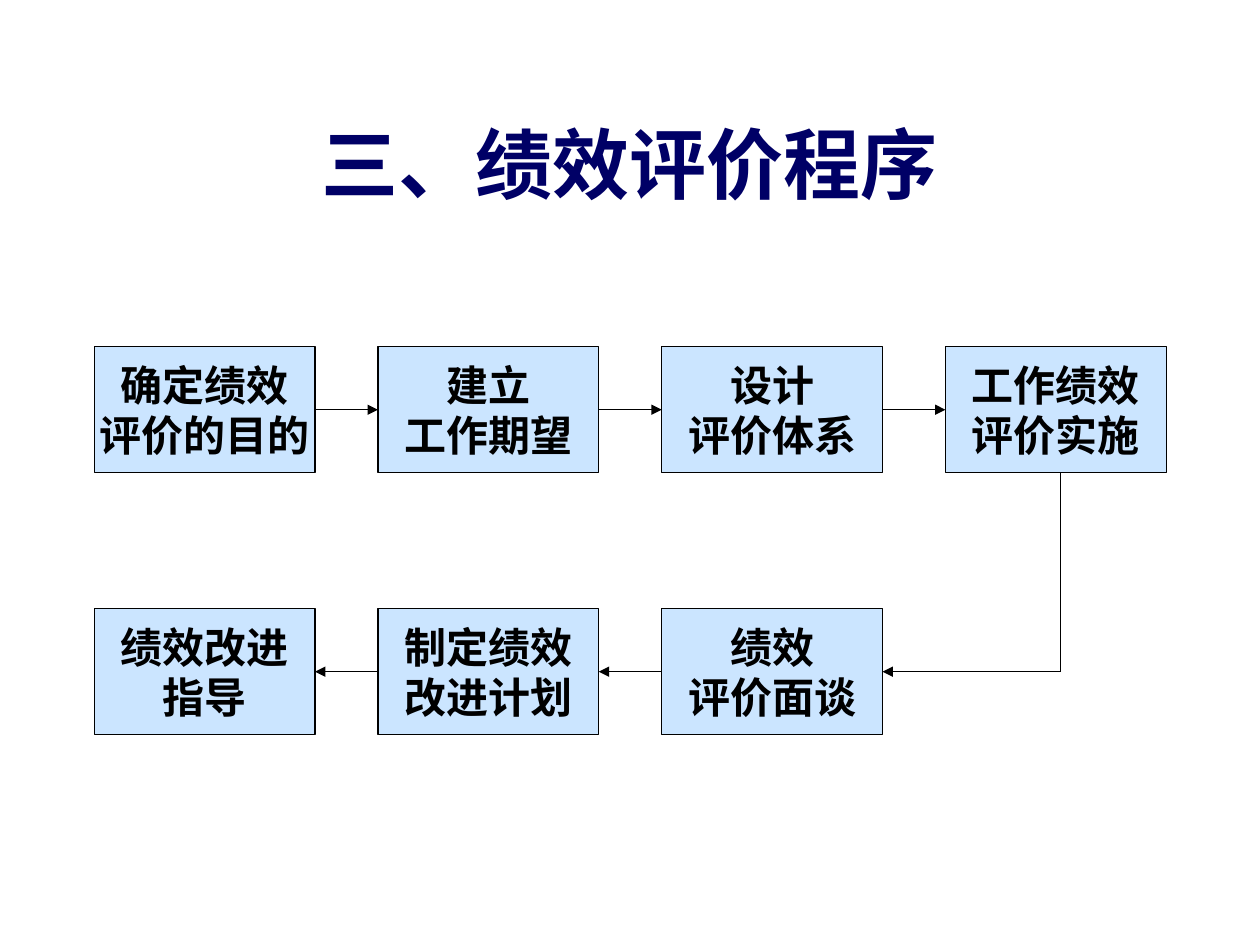
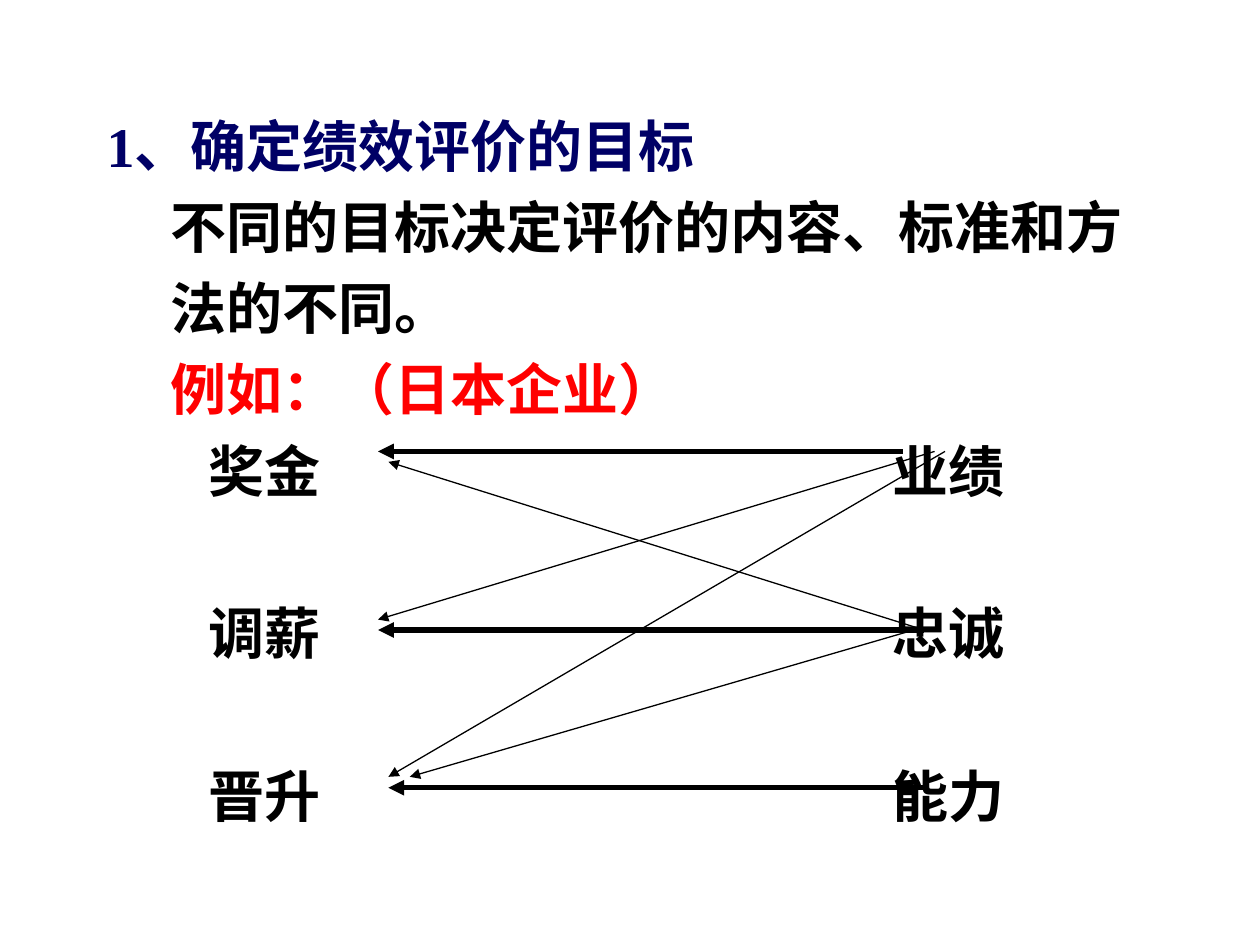
import dataclasses

import lxml.etree
import pptx
import pptx.dml.color
import pptx.enum.shapes
import pptx.enum.text
import pptx.oxml.ns
import pptx.util

Cm = pptx.util.Cm
Pt = pptx.util.Pt
ALIGN = pptx.enum.text.PP_ALIGN
ANCHOR = pptx.enum.text.MSO_ANCHOR
TOP, LEFT, BOTTOM, RIGHT = range(4)


@dataclasses.dataclass(frozen=True)
class Theme:
    font: str = "Times New Roman"
    navy: str = "000066"
    black: str = "000000"
    red: str = "FF0000"
    box_fill: str = "99CCFF"
    box_opacity: int = 50
    title_size: int = 44
    body_size: int = 32
    box_size: int = 24
    body_leading: float = 38.4
    box_leading: float = 28.6
    body_gap: float = 8
    row_gap: float = 54.4
    thin: float = 0.75
    thick: float = 3


THEME = Theme()

BOX_WIDTH, BOX_HEIGHT = 4.45, 2.54
BOX_LEFT, BOX_PITCH = 1.9, 5.72
UPPER_TOP, LOWER_TOP = 6.99, 12.27
TURN_X = 21.38

UPPER_STEPS = [
    ("确定绩效", "评价的目的"),
    ("建立", "工作期望"),
    ("设计", "评价体系"),
    ("工作绩效", "评价实施"),
]
LOWER_STEPS = [
    ("绩效改进", "指导"),
    ("制定绩效", "改进计划"),
    ("绩效", "评价面谈"),
]

BODY_INDENT = 1.28
COLUMN_TOP, COLUMN_WIDTH, COLUMN_HEIGHT = 8.67, 3, 8.27
COLUMNS = [
    (3.96, ("奖金", "调薪", "晋升")),
    (17.74, ("业绩", "忠诚", "能力")),
]

MAIN_LINKS = [
    ((18.2, 9.1), (7.62, 9.1)),
    ((18.63, 12.7), (7.62, 12.7)),
    ((18.63, 15.88), (7.83, 15.88)),
]
SIDE_LINKS = [
    ((18.63, 12.7), (7.83, 9.31)),
    ((18.84, 9.1), (7.62, 12.49)),
    ((19.05, 9.1), (7.83, 15.66)),
    ((18.42, 12.7), (8.26, 15.66)),
]


def rgb(value):
    return pptx.dml.color.RGBColor.from_string(value)


def add_element(parent, tag, **attributes):
    element = lxml.etree.SubElement(parent, pptx.oxml.ns.qn(tag))
    for name, value in attributes.items():
        element.set(name, str(value))
    return element


def write_text(frame, text, *, size, color=THEME.black, align=ALIGN.LEFT,
               leading=None, before=0, indent=0, first=False):
    paragraph = frame.paragraphs[0] if first else frame.add_paragraph()
    properties = paragraph._p.get_or_add_pPr()
    properties.set("marL", str(int(Cm(indent))))
    properties.set("indent", "0")
    paragraph.alignment = align
    if leading:
        paragraph.line_spacing = Pt(leading)
    paragraph.space_before = Pt(before)
    run = paragraph.add_run()
    run.text = text
    font = run.font
    font.name = THEME.font
    font.size = Pt(size)
    font.bold = True
    font.color.rgb = rgb(color)


def add_text_frame(slide, left, top, width, height, anchor):
    shape = slide.shapes.add_textbox(Cm(left), Cm(top), Cm(width), Cm(height))
    frame = shape.text_frame
    frame.word_wrap = True
    frame.vertical_anchor = anchor
    return frame


def add_step(slide, column, top, lines):
    shape = slide.shapes.add_shape(
        pptx.enum.shapes.MSO_SHAPE.RECTANGLE,
        Cm(BOX_LEFT + column * BOX_PITCH), Cm(top),
        Cm(BOX_WIDTH), Cm(BOX_HEIGHT))
    shape.shadow.inherit = False
    shape.fill.solid()
    shape.fill.fore_color.rgb = rgb(THEME.box_fill)
    color = shape.fill._xPr.find(".//" + pptx.oxml.ns.qn("a:srgbClr"))
    add_element(color, "a:alpha", val=THEME.box_opacity * 1000)
    shape.line.color.rgb = rgb(THEME.black)
    shape.line.width = Pt(THEME.thin)
    frame = shape.text_frame
    frame.word_wrap = False
    frame.vertical_anchor = ANCHOR.MIDDLE
    for index, line in enumerate(lines):
        write_text(frame, line, size=THEME.box_size, align=ALIGN.CENTER,
                   leading=THEME.box_leading, first=index == 0)
    return shape


def add_line(slide, start=(0, 0), end=(0, 0), width=THEME.thin, arrow=True):
    connector = slide.shapes.add_connector(
        pptx.enum.shapes.MSO_CONNECTOR.STRAIGHT,
        *(Cm(value) for value in (*start, *end)))
    connector.line.color.rgb = rgb(THEME.black)
    connector.line.width = Pt(width)
    if arrow:
        add_element(connector.line._get_or_add_ln(), "a:tailEnd", type="triangle")
    add_element(connector._element.spPr, "a:effectLst")
    return connector


def join_steps(slide, source, source_side, target, target_side):
    connector = add_line(slide)
    connector.begin_connect(source, source_side)
    connector.end_connect(target, target_side)


def build_process(slide):
    title = add_text_frame(slide, 1.9, 1.69, 21.6, 3.18, ANCHOR.MIDDLE)
    write_text(title, "三、绩效评价程序", size=THEME.title_size,
               color=THEME.navy, align=ALIGN.CENTER, first=True)
    upper = [add_step(slide, column, UPPER_TOP, lines)
             for column, lines in enumerate(UPPER_STEPS)]
    lower = [add_step(slide, column, LOWER_TOP, lines)
             for column, lines in enumerate(LOWER_STEPS)]
    for source, target in zip(upper, upper[1:]):
        join_steps(slide, source, RIGHT, target, LEFT)
    for target, source in zip(lower, lower[1:]):
        join_steps(slide, source, LEFT, target, RIGHT)
    turn = (TURN_X, LOWER_TOP + BOX_HEIGHT / 2)
    add_line(slide, (TURN_X, UPPER_TOP + BOX_HEIGHT), turn, arrow=False)
    add_line(slide, turn, turn).end_connect(lower[-1], RIGHT)


def build_goals(slide):
    style = {"size": THEME.body_size, "leading": THEME.body_leading}
    body = add_text_frame(slide, 1.9, 2.12, 21.6, 6.6, ANCHOR.TOP)
    write_text(body, "1、确定绩效评价的目标", color=THEME.navy,
               first=True, **style)
    for text, color in [
        ("不同的目标决定评价的内容、标准和方", THEME.black),
        ("法的不同。", THEME.black),
        ("例如：（日本企业）", THEME.red),
    ]:
        write_text(body, text, color=color, indent=BODY_INDENT,
                   before=THEME.body_gap, **style)
    for left, labels in COLUMNS:
        column = add_text_frame(slide, left, COLUMN_TOP, COLUMN_WIDTH,
                                COLUMN_HEIGHT, ANCHOR.TOP)
        for index, label in enumerate(labels):
            write_text(column, label, first=index == 0,
                       before=THEME.row_gap if index else 0, **style)
    for start, end in MAIN_LINKS:
        add_line(slide, start, end, width=THEME.thick)
    for start, end in SIDE_LINKS:
        add_line(slide, start, end)


def main():
    presentation = pptx.Presentation()
    presentation.slide_width = Cm(25.4)
    presentation.slide_height = Cm(19.05)
    blank = presentation.slide_layouts[6]
    for build in (build_process, build_goals):
        build(presentation.slides.add_slide(blank))
    presentation.save("out.pptx")


if __name__ == "__main__":
    main()
